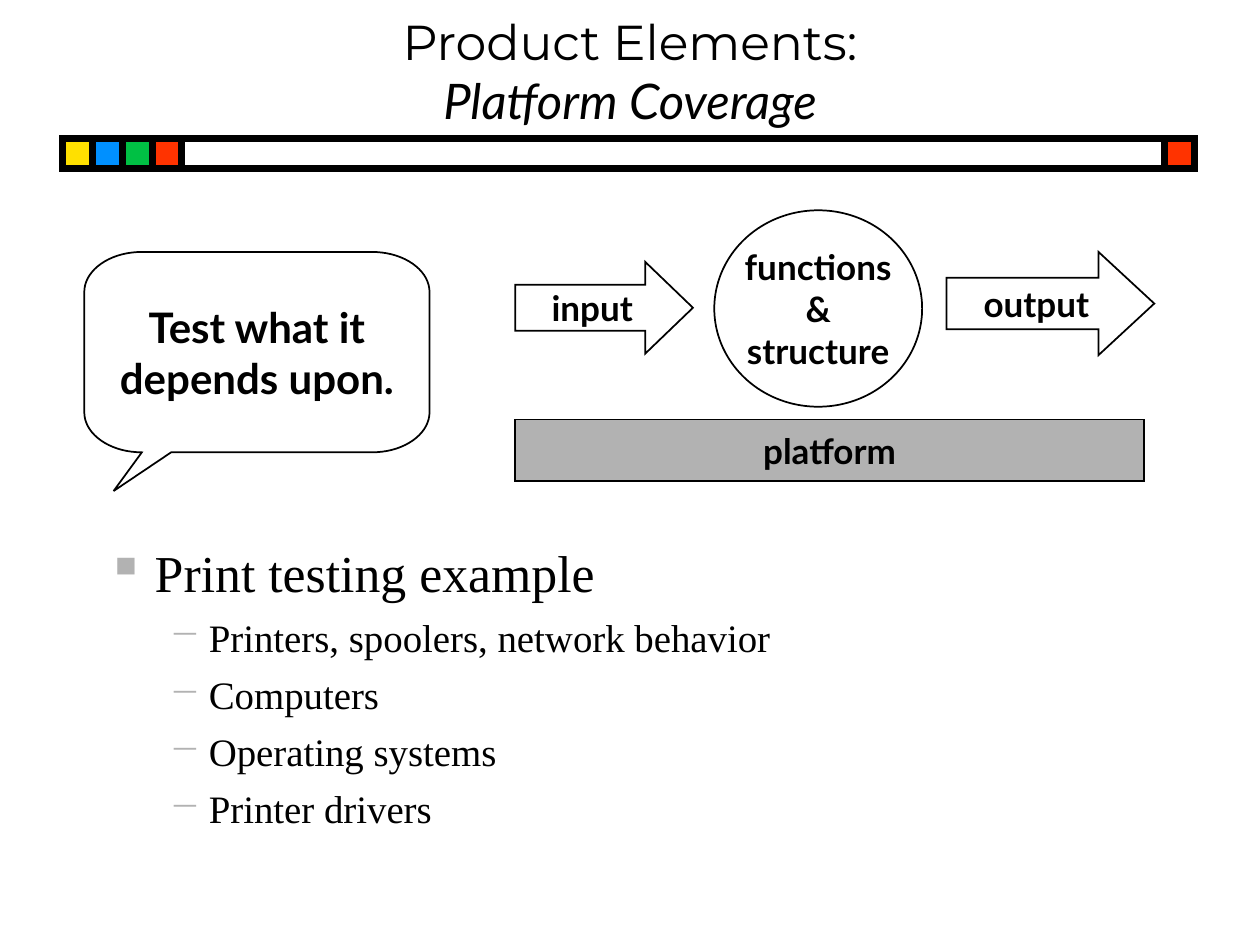
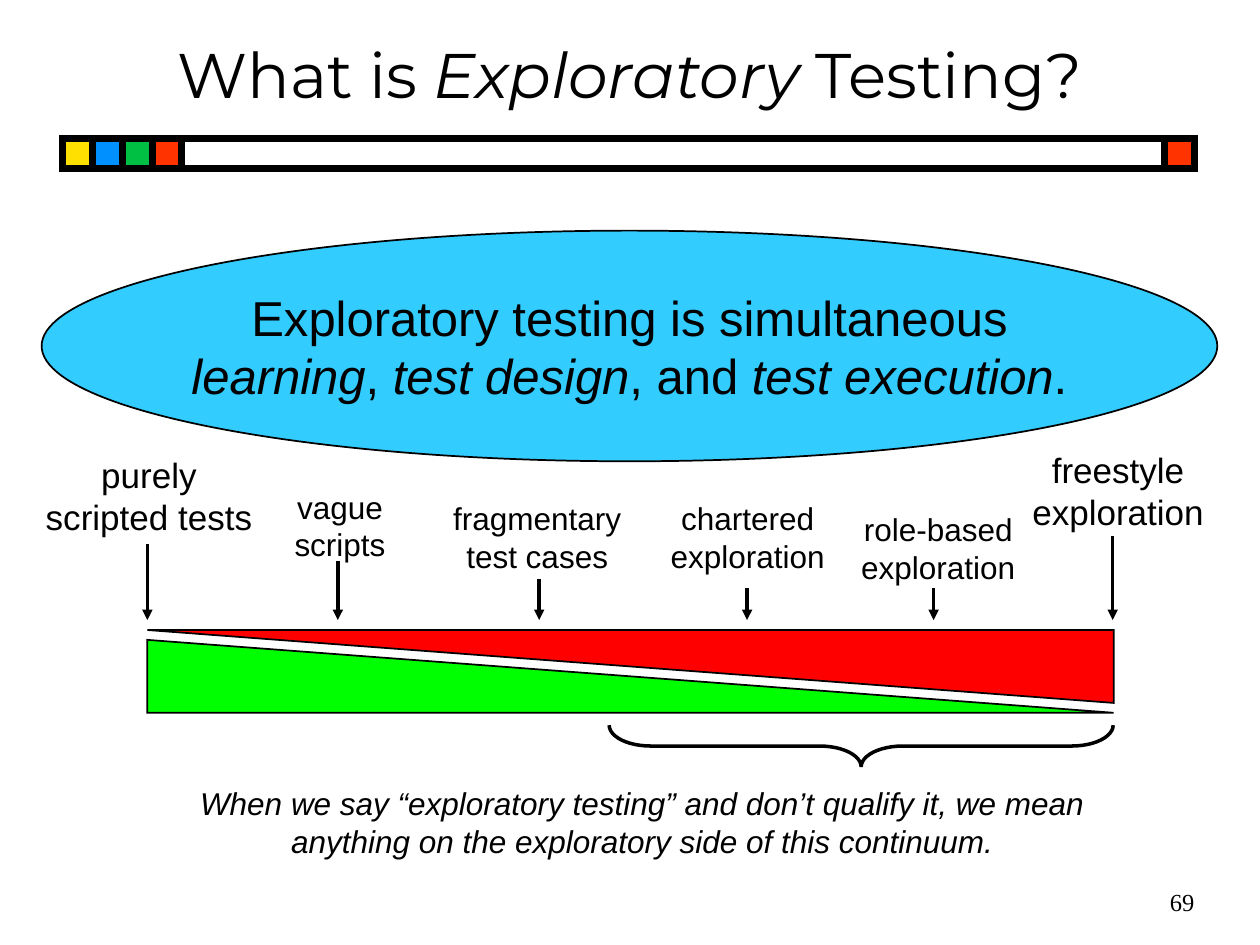
from math import cos, radians, sin

from lxml.etree import SubElement
from pptx import Presentation
from pptx.dml.color import RGBColor
from pptx.enum.shapes import MSO_CONNECTOR as Connector, MSO_SHAPE as Shape
from pptx.enum.text import MSO_ANCHOR as Anchor, PP_ALIGN as Align
from pptx.oxml.ns import qn
from pptx.util import Cm, Pt

COLORS = {
    "black": "000000", "white": "FFFFFF", "gray": "B2B2B2",
    "yellow": "FFE000", "blue": "0090FF", "green": "00C044", "orange": "FF3300",
    "sky": "33CCFF", "lime": "00FF00", "red": "FF0000",
}


def rgb(name):
    return RGBColor.from_string(COLORS[name])


def write_text(frame, paragraphs, font="Arial", size=18, bold=False, align=Align.CENTER,
               anchor=Anchor.TOP, wrap=True, bottom=0.13, italic_font=None):
    """Fill a text frame; asterisks switch italics on and off."""
    frame.word_wrap = wrap
    frame.vertical_anchor = anchor
    frame.margin_left = frame.margin_right = Cm(0.25)
    frame.margin_top, frame.margin_bottom = Cm(0.13), Cm(bottom)
    for index, text in enumerate(paragraphs):
        paragraph = frame.paragraphs[0] if index == 0 else frame.add_paragraph()
        paragraph.alignment = align
        for part_index, part in enumerate(text.split("*")):
            italic = part_index % 2 == 1
            for line_index, line in enumerate(part.split("\n")):
                if line_index:
                    paragraph.add_line_break()
                if not line:
                    continue
                run = paragraph.add_run()
                run.text = line
                run.font.name = italic_font if italic and italic_font else font
                run.font.size = Pt(size)
                run.font.bold = bold
                run.font.italic = italic
                run.font.color.rgb = rgb("black")


class Deck:
    """Holds the presentation, its shared style and the current slide."""

    def __init__(self):
        self.presentation = Presentation()
        self.presentation.slide_width = Cm(25.4)
        self.presentation.slide_height = Cm(19.05)
        self.slide = None

    def start_slide(self, title, **format):
        self.slide = self.presentation.slides.add_slide(self.presentation.slide_layouts[6])
        self.band()
        self.text([title], 0, 0.2, 25.4, 2.54, font="Montserrat", **format)

    def band(self, left=1.27, top=2.79, width=22.81, side=0.6):
        self.shape(Shape.RECTANGLE, left, top, width, side, line_width=4)
        squares = ["yellow", "blue", "green", "orange"]
        places = [(left + i * side, color) for i, color in enumerate(squares)]
        for x, color in places + [(left + width - side, "orange")]:
            self.shape(Shape.RECTANGLE, x, top, side, side, color, line_width=4)

    def text(self, paragraphs, left, top, width, height, **format):
        box = self.slide.shapes.add_textbox(Cm(left), Cm(top), Cm(width), Cm(height))
        write_text(box.text_frame, paragraphs, **format)
        return box

    def paint(self, shape, fill, line_width):
        shape.shadow.inherit = False
        if fill:
            shape.fill.solid()
            shape.fill.fore_color.rgb = rgb(fill)
        else:
            shape.fill.background()
        shape.line.color.rgb = rgb("black")
        shape.line.width = Pt(line_width)
        SubElement(shape.element.spPr.find(qn("a:ln")), qn("a:miter"), lim="800000")

    def shape(self, kind, left, top, width, height, fill=None, line_width=1,
              adjustments=(), rotation=0, paragraphs=(), **format):
        shape = self.slide.shapes.add_shape(kind, Cm(left), Cm(top), Cm(width), Cm(height))
        for index, value in enumerate(adjustments):
            shape.adjustments[index] = value
        shape.rotation = rotation
        self.paint(shape, fill, line_width)
        if paragraphs:
            write_text(shape.text_frame, paragraphs, anchor=Anchor.MIDDLE, wrap=False, **format)

    def callout(self, paragraphs, left, top, width, height, radii, base, tip, **format):
        """Draw a speech bubble with elliptic corners and a tail at the bottom."""
        rx, ry = radii
        right, bottom = left + width, top + height
        corners = [(left + rx, top + ry, 180), (right - rx, top + ry, 270),
                   (right - rx, bottom - ry, 0), (left + rx, bottom - ry, 90)]
        points = []
        for index, (x, y, start) in enumerate(corners):
            if index == 3:
                points += [(base[1], bottom), tip, (base[0], bottom)]
            points += [(x + rx * cos(radians(start + turn)), y + ry * sin(radians(start + turn)))
                       for turn in range(0, 91, 5)]
        points = [(Cm(x), Cm(y)) for x, y in points]
        builder = self.slide.shapes.build_freeform(*points[0])
        builder.add_line_segments(points[1:], close=True)
        bubble = builder.convert_to_shape()
        self.paint(bubble, "white", 1)
        write_text(bubble.text_frame, paragraphs, anchor=Anchor.MIDDLE, wrap=False,
                   bottom=0.13 + tip[1] - bottom, **format)

    def arrow_down(self, x, top, bottom):
        arrow = self.slide.shapes.add_connector(
            Connector.STRAIGHT, Cm(x), Cm(top), Cm(x), Cm(bottom))
        arrow.line.color.rgb = rgb("black")
        arrow.line.width = Pt(2)
        properties = arrow.element.spPr
        SubElement(properties.find(qn("a:ln")), qn("a:tailEnd"), type="triangle")
        SubElement(properties, qn("a:effectLst"))

    def bullets(self, heading, items, left, top, width, height):
        box = self.text([heading, *items], left, top, width, height,
                        font="Times New Roman", size=22.2, align=Align.LEFT)
        for index, paragraph in enumerate(box.text_frame.paragraphs):
            mark, margin, indent = ("−", 2.06, -0.79) if index else ("▪", 0.97, -0.97)
            properties = paragraph._p.get_or_add_pPr()
            properties.set("marL", str(Cm(margin)))
            properties.set("indent", str(Cm(indent)))
            color = SubElement(properties, qn("a:buClr"))
            SubElement(color, qn("a:srgbClr"), val=COLORS["gray"])
            SubElement(properties, qn("a:buChar"), char=mark)
            if index:
                paragraph.level = 1
                paragraph.space_before = Pt(6)
            else:
                paragraph.runs[0].font.size = Pt(29.6)


def build_platform_slide(deck):
    deck.start_slide("Product Elements:\n*Platform Coverage*", size=28,
                     italic_font="Lato", anchor=Anchor.BOTTOM)
    label = {"font": "Lato", "size": 20, "bold": True}
    deck.callout(["Test what it", "depends upon."], 1.7, 5.08, 6.96, 4.04, radii=(1.16, 0.81),
                 base=(2.86, 3.45), tip=(2.29, 9.9), **{**label, "size": 24})
    deck.bullets("Print testing example",
                 ["Printers, spoolers, network behavior", "Computers",
                  "Operating systems", "Printer drivers"], 1.9, 10.77, 21.6, 5.92)
    deck.shape(Shape.OVAL, 14.4, 4.24, 4.19, 3.96, "white",
               paragraphs=["functions", "&", "structure"], **label)
    deck.shape(Shape.RIGHT_ARROW, 10.39, 5.28, 3.58, 1.85, "white",
               adjustments=(0.5, 0.52), paragraphs=["input"], **label)
    deck.shape(Shape.RIGHT_ARROW, 19.08, 5.08, 4.19, 2.08, "white",
               adjustments=(0.5, 0.54), paragraphs=["output"], **label)
    deck.shape(Shape.RECTANGLE, 10.39, 8.46, 12.67, 1.24, "gray",
               paragraphs=["platform"], **label)


def build_exploratory_slide(deck):
    deck.start_slide("What is *Exploratory* Testing?", size=36, anchor=Anchor.MIDDLE)
    deck.shape(Shape.OVAL, 0.84, 4.65, 23.7, 4.65, "sky", size=28, paragraphs=[
        "Exploratory testing is simultaneous\n"
        "*learning*, *test design*, and *test execution*."])
    deck.shape(Shape.RIGHT_TRIANGLE, 2.97, 12.9, 19.48, 1.47, "lime")
    deck.shape(Shape.RIGHT_TRIANGLE, 2.97, 12.7, 19.48, 1.47, "red", rotation=180)
    continuum = [
        ("purely\nscripted tests", 0.25, 9.02, 5.51, 20, 2.97, 10.97),
        ("vague\nscripts", 5.61, 9.7, 2.49, 18, 6.81, 11.3),
        ("fragmentary\ntest cases", 8.71, 9.93, 4.24, 18, 10.87, 11.68),
        ("chartered\nexploration", 12.85, 9.93, 4.45, 18, 15.06, 11.86),
        ("role-based\nexploration", 16.69, 10.16, 4.45, 18, 18.82, 11.86),
        ("freestyle\nexploration", 20.37, 8.92, 4.34, 20, 22.43, 10.8),
    ]
    for label, left, top, width, size, arrow_x, arrow_top in continuum:
        deck.text([label], left, top, width, 1.8, size=size)
        deck.arrow_down(arrow_x, arrow_top, 12.5)
    deck.shape(Shape.RIGHT_BRACE, 16.94, 9.96, 0.84, 10.16, line_width=2,
               adjustments=(1, 0.5), rotation=90)
    deck.text(["*When we say “exploratory testing” and don’t qualify it, we mean "
               "anything on the exploratory side of this continuum.*"], 2.57, 15.67, 20.75, 1.78)
    deck.text(["69"], 19.05, 17.55, 5.28, 1.27, font="Times New Roman", size=14,
              align=Align.RIGHT, anchor=Anchor.MIDDLE)


def main():
    deck = Deck()
    build_platform_slide(deck)
    build_exploratory_slide(deck)
    deck.presentation.save("out.pptx")


if __name__ == "__main__":
    main()
